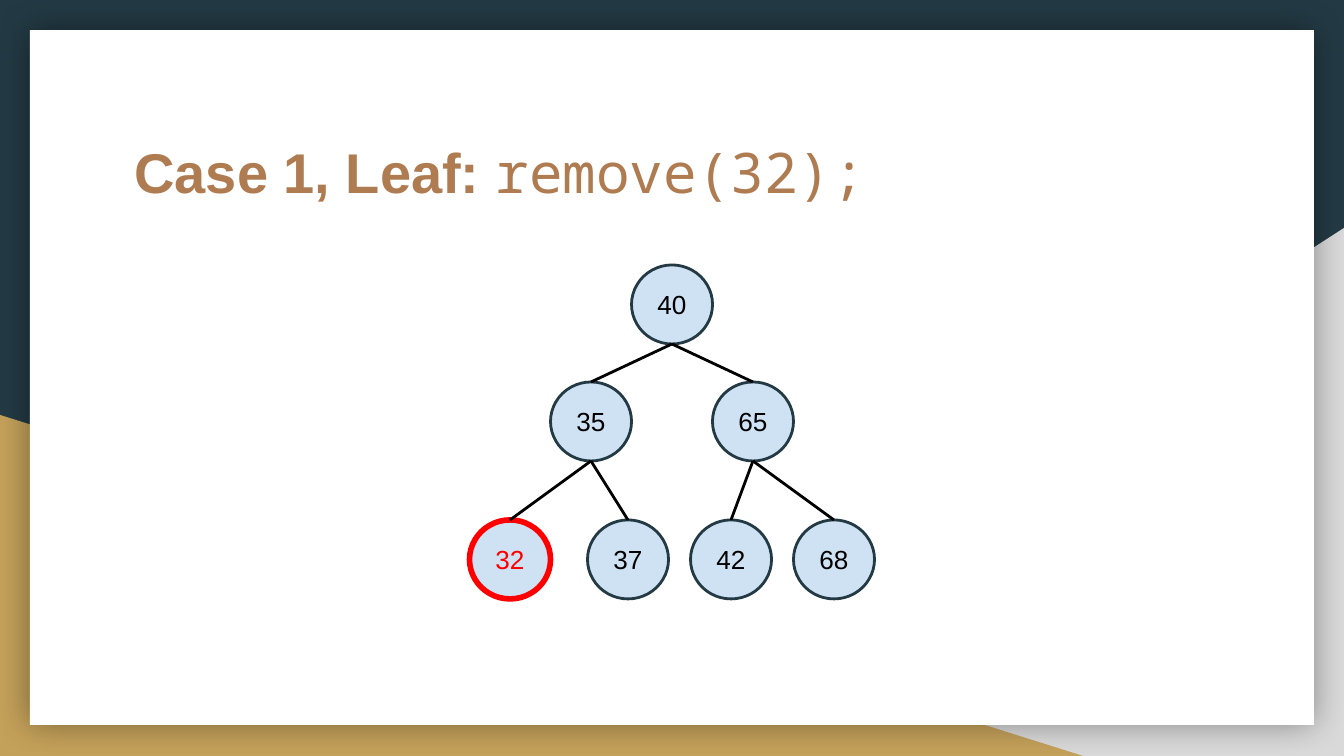
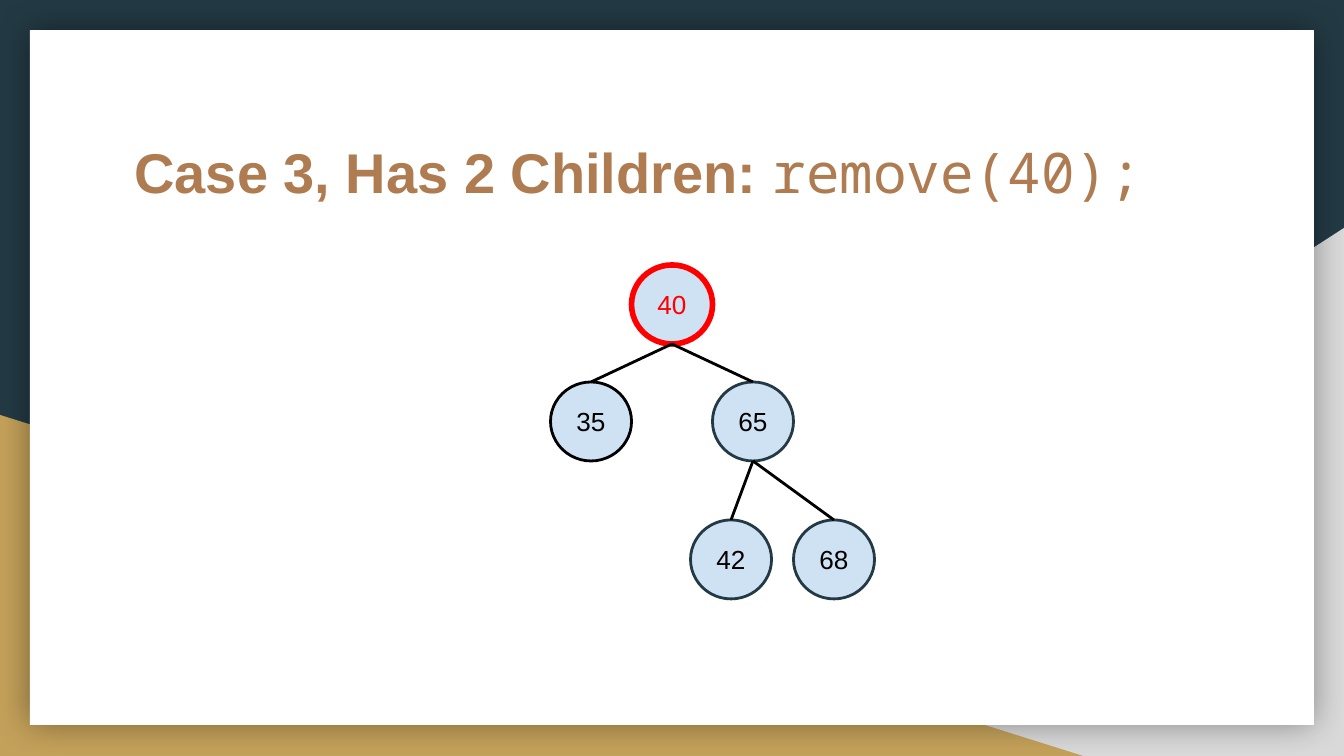
from lxml import etree
from pptx import Presentation
from pptx import util as u
from pptx.dml.color import RGBColor
from pptx.enum import shapes, text
from pptx.oxml import ns

NAVY = RGBColor(0x23, 0x3A, 0x44)
GRAY = RGBColor(0xD9, 0xD9, 0xD9)
GOLD = RGBColor(0xC4, 0xA1, 0x5A)
WHITE = RGBColor(0xFF, 0xFF, 0xFF)
BROWN = RGBColor(0xAF, 0x7B, 0x51)
PALE_BLUE = RGBColor(0xCF, 0xE2, 0xF3)
BLACK = RGBColor(0, 0, 0)
RED = RGBColor(0xFF, 0, 0)

BODY_FONT, CODE_FONT = "Arial", "Noto Sans Mono"
SLIDE_WIDTH, SLIDE_HEIGHT = 1344, 756
EMU_PER_PX = 914400 / 134.4

GRAY_CORNER = (527, 228, 817, 528)
GOLD_CORNER = (0, 415, 1083, 341)
CARD = (30, 30, 1284, 695)
TITLE = (121, 124, 1103, 140)

NODE_WIDTH, NODE_HEIGHT = 81, 79
LEVEL_TOPS = (265, 382, 520)
# key: (level, horizontal centre)
NODE_PLACES = {
    40: (0, 672),
    35: (1, 591), 65: (1, 753),
    32: (2, 510), 37: (2, 628), 42: (2, 731), 68: (2, 834),
}
PARENTS = {35: 40, 65: 40, 32: 35, 37: 35, 42: 65, 68: 65}

CASES = [
    {"title": "Case 1, Leaf: ", "code": "remove(32);",
     "keys": (40, 35, 65, 32, 68, 37, 42), "outlines": {32: RED}},
    {"title": "Case 3, Has 2 Children: ", "code": "remove(40);",
     "keys": (40, 35, 65, 68, 42), "outlines": {40: RED, 35: BLACK}},
]


def px(*lengths):
    return [u.Emu(round(length * EMU_PER_PX)) for length in lengths]


def style_run(run, font, size, color, bold=False):
    run.font.name = font
    run.font.size = u.Pt(size)
    run.font.color.rgb = color
    run.font.bold = bold


def add_filled(slide, kind, box, color):
    shape = slide.shapes.add_shape(kind, *px(*box))
    shape.shadow.inherit = False
    shape.fill.solid()
    shape.fill.fore_color.rgb = color
    shape.line.fill.background()
    return shape


def add_glow_shadow(shape):
    """Give the shape a soft black shadow on all sides."""
    effects = shape._element.spPr.find(ns.qn("a:effectLst"))
    shadow = etree.SubElement(effects, ns.qn("a:outerShdw"),
                              blurRad=str(u.Pt(18)), dist="0", dir="0",
                              algn="ctr", rotWithShape="0")
    black = etree.SubElement(shadow, ns.qn("a:srgbClr"), val=str(BLACK))
    etree.SubElement(black, ns.qn("a:alpha"), val="40000")


def add_frame(slide):
    """Draw the two corner triangles and the white card."""
    triangle = shapes.MSO_SHAPE.RIGHT_TRIANGLE
    corner = add_filled(slide, triangle, GRAY_CORNER, GRAY)
    corner._element.spPr.get_or_add_xfrm().set("flipH", "1")
    add_filled(slide, triangle, GOLD_CORNER, GOLD)
    add_glow_shadow(add_filled(slide, shapes.MSO_SHAPE.RECTANGLE, CARD, WHITE))


def set_title(slide, words, code):
    title = slide.shapes.title
    title.left, title.top, title.width, title.height = px(*TITLE)
    frame = title.text_frame
    frame.word_wrap = True
    frame.auto_size = text.MSO_AUTO_SIZE.NONE
    frame.vertical_anchor = text.MSO_ANCHOR.TOP
    frame.margin_left = frame.margin_right = u.Inches(0.1)
    frame.margin_top = frame.margin_bottom = u.Inches(0.1)
    paragraph = frame.paragraphs[0]
    paragraph.alignment = text.PP_ALIGN.LEFT
    for content, font, bold in ((words, BODY_FONT, True), (code, CODE_FONT, False)):
        run = paragraph.add_run()
        run.text = content
        style_run(run, font, 30, BROWN, bold)
    slide.shapes._spTree.append(title._element)  # in front of the card


def add_node(slide, key, outline):
    level, center = NODE_PLACES[key]
    box = (center - NODE_WIDTH / 2, LEVEL_TOPS[level], NODE_WIDTH, NODE_HEIGHT)
    node = add_filled(slide, shapes.MSO_SHAPE.OVAL, box, PALE_BLUE)
    node.line.color.rgb = outline
    node.line.width = u.Pt(3 if outline == RED else 1.5)
    frame = node.text_frame
    frame.text = str(key)
    frame.vertical_anchor = text.MSO_ANCHOR.MIDDLE
    frame.margin_left = frame.margin_right = u.Inches(0.1)
    frame.margin_top = frame.margin_bottom = u.Inches(0.1)
    paragraph = frame.paragraphs[0]
    paragraph.alignment = text.PP_ALIGN.CENTER
    style_run(paragraph.runs[0], BODY_FONT, 14, RED if outline == RED else BLACK)
    return node


def add_edge(slide, parent, child):
    """Join the bottom of the parent to the top of the child."""
    edge = slide.shapes.add_connector(
        shapes.MSO_CONNECTOR.STRAIGHT,
        parent.left + parent.width // 2, parent.top + parent.height,
        child.left + child.width // 2, child.top)
    edge.end_connect(child, 0)
    edge.line.color.rgb = BLACK
    edge.line.width = u.Pt(1.5)
    etree.SubElement(edge._element.spPr, ns.qn("a:effectLst"))


def add_tree(slide, keys, outlines):
    nodes = {key: add_node(slide, key, outlines.get(key, NAVY)) for key in keys}
    for child, parent in PARENTS.items():
        if child in nodes:
            add_edge(slide, nodes[parent], nodes[child])


def main():
    presentation = Presentation()
    presentation.slide_width, presentation.slide_height = px(SLIDE_WIDTH, SLIDE_HEIGHT)
    background = presentation.slide_master.background.fill
    background.solid()
    background.fore_color.rgb = NAVY
    for case in CASES:
        slide = presentation.slides.add_slide(presentation.slide_layouts[5])
        add_frame(slide)
        set_title(slide, case["title"], case["code"])
        add_tree(slide, case["keys"], case["outlines"])
    presentation.save("out.pptx")


if __name__ == "__main__":
    main()
